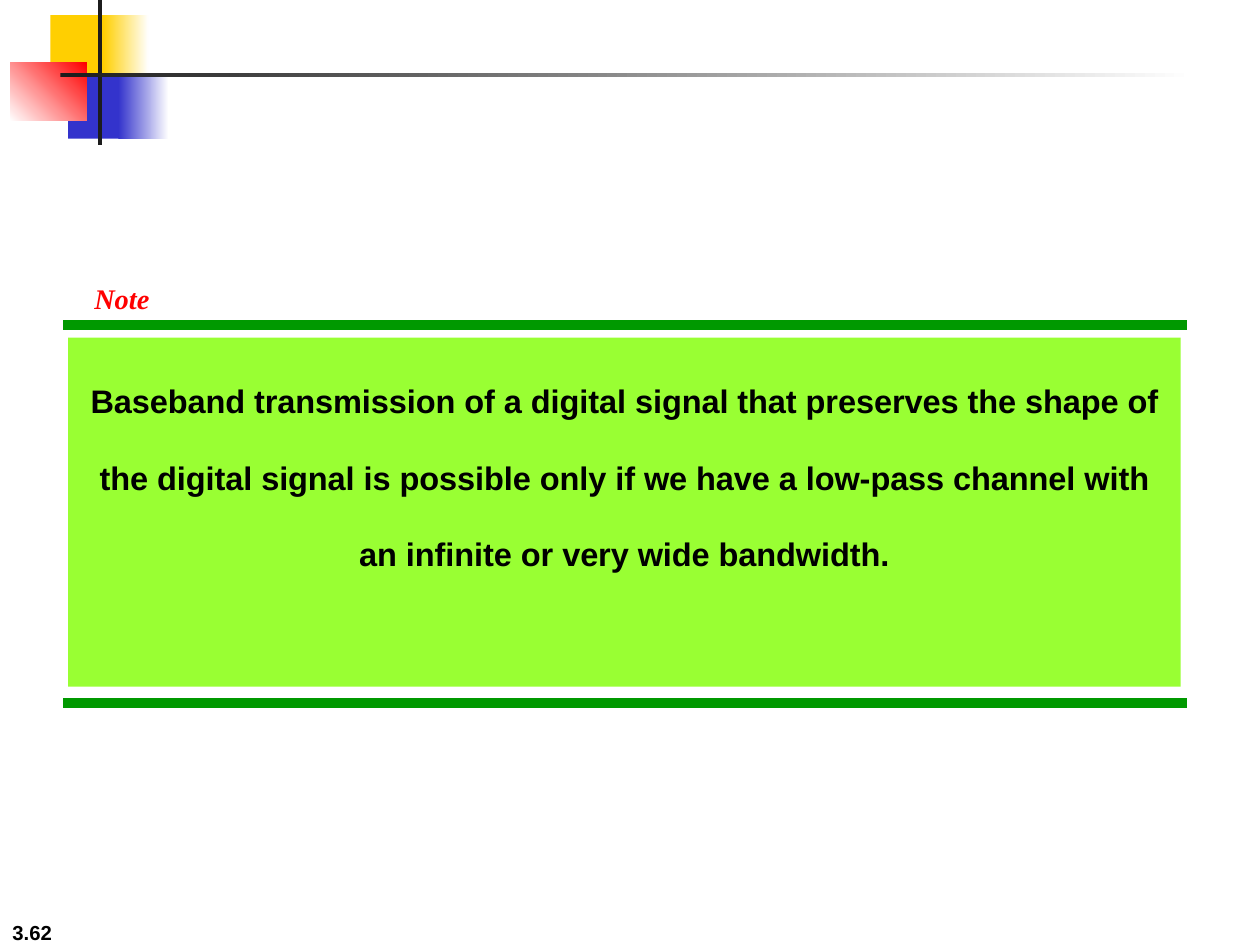
"""Build a note slide about baseband transmission over a low-pass channel."""
from dataclasses import dataclass
from typing import Optional

from lxml.etree import SubElement
from pptx import Presentation
from pptx.dml.color import RGBColor
from pptx.enum.shapes import MSO_CONNECTOR, MSO_SHAPE
from pptx.enum.text import MSO_ANCHOR, PP_ALIGN
from pptx.oxml.ns import qn
from pptx.util import Inches, Pt

YELLOW = RGBColor(0xFF, 0xCF, 0x01)
BLUE = RGBColor(0x33, 0x33, 0xCC)
RED = RGBColor(0xFF, 0x00, 0x00)
WHITE = RGBColor(0xFF, 0xFF, 0xFF)
BLACK = RGBColor(0x00, 0x00, 0x00)
CHARCOAL = RGBColor(0x1C, 0x1C, 0x1C)
GREEN = RGBColor(0x00, 0x99, 0x00)
LIME = RGBColor(0x99, 0xFF, 0x33)
SUBSCRIPT = "-25000"


@dataclass
class Block:
    left: float
    top: float
    width: float
    height: float
    color: RGBColor
    fade_to: Optional[RGBColor] = None
    angle: float = 0


@dataclass
class Label:
    text: str
    size: float
    font: str
    color: RGBColor
    italic: bool = False
    align: PP_ALIGN = PP_ALIGN.LEFT


BLOCKS = [
    Block(0.4, 0.12, 0.48, 0.52, YELLOW),
    Block(0.82, 0.12, 0.36, 0.52, YELLOW, WHITE),
    Block(0.54, 0.58, 0.46, 0.52, BLUE),
    Block(0.94, 0.58, 0.4, 0.52, BLUE, WHITE),
    Block(0.08, 0.5, 0.61, 0.46, WHITE, RED, 45),
    Block(0.78, 0, 0.03, 1.15, CHARCOAL),
    Block(0.48, 0.58, 9, 0.03, CHARCOAL, WHITE),
]
PANEL = Block(0.54, 2.68, 8.83, 2.77, LIME)
RULE_TOPS = (2.58, 5.58)
NUMBER = Label("3.62", 20, "Arial", BLACK)
NOTE = Label("Note", 28, "Times New Roman", RED, italic=True)
MESSAGE = Label(
    "Baseband transmission of a digital signal that preserves the shape of "
    "the digital signal is possible only if we have a low-pass channel with "
    "an infinite or very wide bandwidth.",
    32, "Arial", BLACK, align=PP_ALIGN.CENTER)


def add_block(s, block: Block):
    sp = s.shapes.add_shape(
        MSO_SHAPE.RECTANGLE, Inches(block.left), Inches(block.top),
        Inches(block.width), Inches(block.height))
    sp.shadow.inherit = False
    sp.line.fill.background()
    if block.fade_to is None:
        sp.fill.solid()
        sp.fill.fore_color.rgb = block.color
    else:
        sp.fill.gradient()
        sp.fill.gradient_angle = block.angle
        for stop, color in zip(sp.fill.gradient_stops, (block.color, block.fade_to)):
            stop.color.rgb = color
    return sp


def add_rule(s, top: float) -> None:
    rule = s.shapes.add_connector(
        MSO_CONNECTOR.STRAIGHT, Inches(0.5), Inches(top), Inches(9.42), Inches(top))
    rule.line.color.rgb = GREEN
    rule.line.width = Pt(6)
    SubElement(rule._element.spPr, qn("a:effectLst"))


def write_label(sp, label: Label, anchor: MSO_ANCHOR, wrap: bool = True) -> None:
    tf = sp.text_frame
    tf.word_wrap = wrap
    tf.vertical_anchor = anchor
    p = tf.paragraphs[0]
    p.alignment = label.align
    r = p.add_run()
    r.text = label.text
    r._r.get_or_add_rPr().set("baseline", SUBSCRIPT)
    p.font.name = label.font
    p.font.size = Pt(label.size)
    p.font.bold = True
    p.font.italic = label.italic
    p.font.color.rgb = label.color


def main() -> None:
    prs = Presentation()
    prs.slide_width, prs.slide_height = Inches(10), Inches(7.5)
    s = prs.slides.add_slide(prs.slide_layouts[6])
    number = s.shapes.add_textbox(Inches(0), Inches(7), Inches(2.08), Inches(0.5))
    number.text_frame.margin_bottom = Inches(0)
    write_label(number, NUMBER, MSO_ANCHOR.BOTTOM)
    for block in BLOCKS:
        add_block(s, block)
    for top in RULE_TOPS:
        add_rule(s, top)
    write_label(add_block(s, PANEL), MESSAGE, MSO_ANCHOR.TOP)
    note = s.shapes.add_textbox(Inches(0.65), Inches(1.92), Inches(0.96), Inches(0.57))
    write_label(note, NOTE, MSO_ANCHOR.TOP, wrap=False)
    prs.save("out.pptx")


if __name__ == "__main__":
    main()
